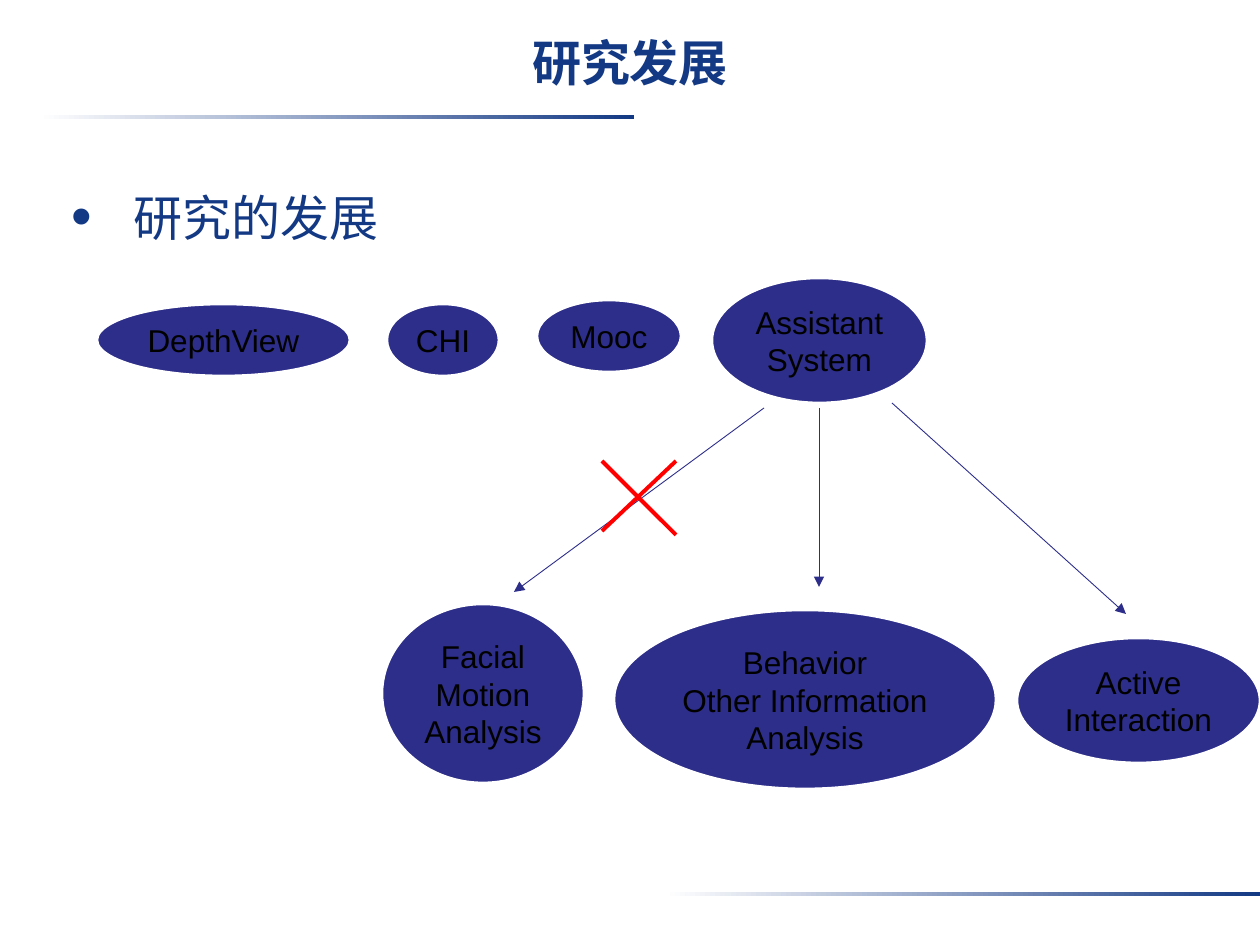
from dataclasses import dataclass

from lxml.etree import SubElement
from pptx import Presentation
from pptx.dml.color import RGBColor
from pptx.enum.shapes import MSO_CONNECTOR as Connector, MSO_SHAPE as Preset
from pptx.enum.text import MSO_ANCHOR as Anchor, MSO_AUTO_SIZE as AutoSize, PP_ALIGN as Align
from pptx.oxml.ns import qn
from pptx.util import Emu, Pt


@dataclass(frozen=True)
class Theme:
    font: str = "Arial"
    heading: str = "133984"
    node: str = "2D2D8A"
    label: str = "000000"
    white: str = "FFFFFF"
    cross: str = "FF0000"
    heading_size: int = 28
    label_size: int = 18
    outline: float = 1.5
    arrow: float = 0.5
    cross_width: float = 2.25


THEME = Theme()
EMU_PER_PX = 914400 / 126

# left, top, width, height, label
NODES = [
    (97, 304, 253, 72, "DepthView"),
    (387, 304, 112, 72, "CHI"),
    (537, 300, 144, 72, "Mooc"),
    (712, 278, 215, 125, "Assistant\nSystem"),
    (614, 610, 382, 179, "Behavior\nOther Information\nAnalysis"),
    (382, 604, 202, 179, "Facial\nMotion\nAnalysis"),
    (1017, 638, 243, 125, "Active\nInteraction"),
]
# start x, start y, end x, end y
ARROWS = [(764, 408, 514, 592), (819, 408, 819, 587), (892, 403, 1126, 614)]
CROSS = [(602, 461, 676, 535), (676, 461, 602, 531)]
RULES = [(39, 115, 595, 4), (665, 892, 595, 4)]


def px(*values):
    return [Emu(round(value * EMU_PER_PX)) for value in values]


def rgb(value):
    return RGBColor.from_string(value)


def apply(target, **values):
    for name, value in values.items():
        setattr(target, name, value)


def write(shape, text, size, color, align, bold=False, **frame_format):
    frame = shape.text_frame
    frame.text = text
    apply(frame, auto_size=AutoSize.NONE, **frame_format)
    for paragraph in frame.paragraphs:
        paragraph.alignment = align
        for run in paragraph.runs:
            apply(run.font, name=THEME.font, size=Pt(size), bold=bold)
            run.font.color.rgb = rgb(color)
    return frame


def add_title(slide, text):
    title = slide.shapes.title
    left, top, width, height = px(0, 25, 1260, 95)
    apply(title, left=left, top=top, width=width, height=height)
    write(title, text, THEME.heading_size, THEME.heading, Align.CENTER, bold=True,
          vertical_anchor=Anchor.TOP, margin_top=px(8)[0])


def add_bullet(slide, text):
    box = slide.shapes.add_textbox(*px(59, 175, 1134, 698))
    frame = write(box, text, THEME.heading_size, THEME.heading, Align.LEFT, word_wrap=True)
    paragraph = frame.paragraphs[0]
    properties = paragraph._p.get_or_add_pPr()
    indent = px(62)[0]
    properties.set("marL", str(indent))
    properties.set("indent", str(-indent))
    color = SubElement(properties, qn("a:buClr"))
    SubElement(color, qn("a:srgbClr"), val=THEME.heading)
    SubElement(properties, qn("a:buSzPct"), val="120000")
    SubElement(properties, qn("a:buFont"), typeface=THEME.font)
    SubElement(properties, qn("a:buChar"), char="•")
    paragraph.line_spacing = 1.1


def add_rule(slide, bounds):
    """Add a thin bar that fades in from the left."""
    bar = slide.shapes.add_shape(Preset.RECTANGLE, *px(*bounds))
    bar.shadow.inherit = False
    bar.line.fill.background()
    bar.fill.gradient()
    bar.fill.gradient_angle = 0
    for stop, color, position in zip(bar.fill.gradient_stops, (THEME.white, THEME.heading), (0, 1)):
        stop.color.rgb = rgb(color)
        stop.position = position


def add_node(slide, left, top, width, height, label):
    node = slide.shapes.add_shape(Preset.OVAL, *px(left, top, width, height))
    node.shadow.inherit = False
    node.fill.solid()
    node.fill.fore_color.rgb = rgb(THEME.node)
    node.line.color.rgb = rgb(THEME.white)
    node.line.width = Pt(THEME.outline)
    write(node, label, THEME.label_size, THEME.label, Align.CENTER,
          word_wrap=False, vertical_anchor=Anchor.MIDDLE)


def add_line(shapes, ends, color, width, arrow=False):
    connector = shapes.add_connector(Connector.STRAIGHT, *px(*ends))
    connector.line.color.rgb = rgb(color)
    connector.line.width = Pt(width)
    if arrow:
        SubElement(connector.line._get_or_add_ln(), qn("a:tailEnd"), type="triangle")
    SubElement(connector._element.spPr, qn("a:effectLst"))


def main():
    presentation = Presentation()
    width, height = px(1260, 945)
    apply(presentation, slide_width=width, slide_height=height)
    slide = presentation.slides.add_slide(presentation.slide_layouts[5])
    for bounds in RULES:
        add_rule(slide, bounds)
    add_title(slide, "研究发展")
    add_bullet(slide, "研究的发展")
    for node in NODES:
        add_node(slide, *node)
    for ends in ARROWS:
        add_line(slide.shapes, ends, THEME.node, THEME.arrow, arrow=True)
    cross = slide.shapes.add_group_shape()
    for ends in CROSS:
        add_line(cross.shapes, ends, THEME.cross, THEME.cross_width)
    presentation.save("out.pptx")


if __name__ == "__main__":
    main()
